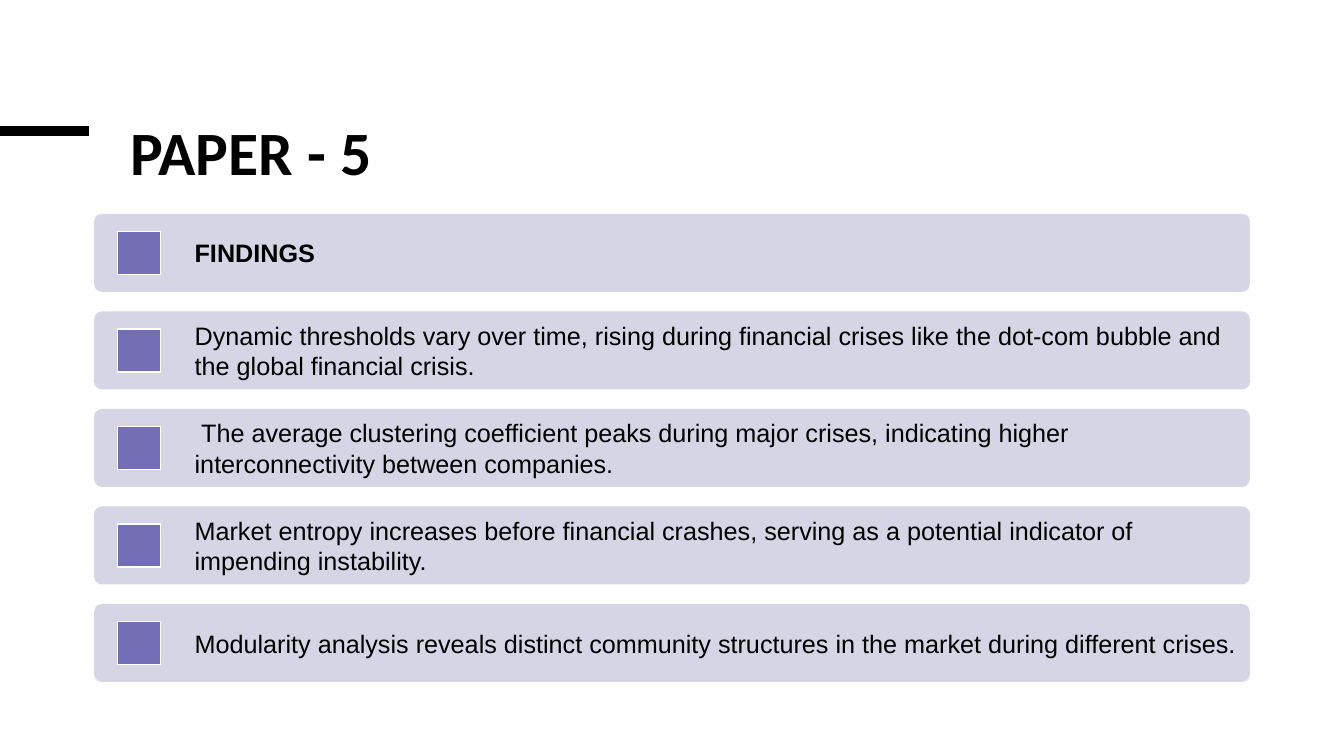
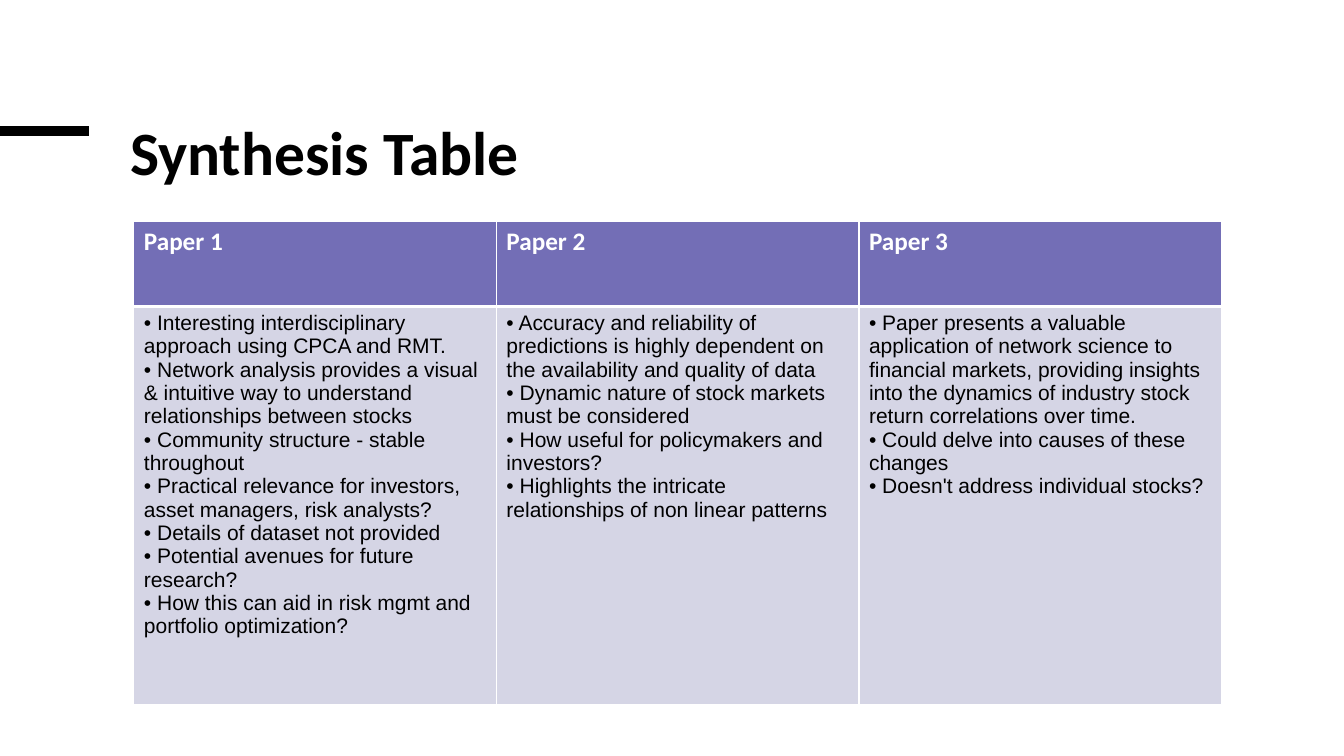
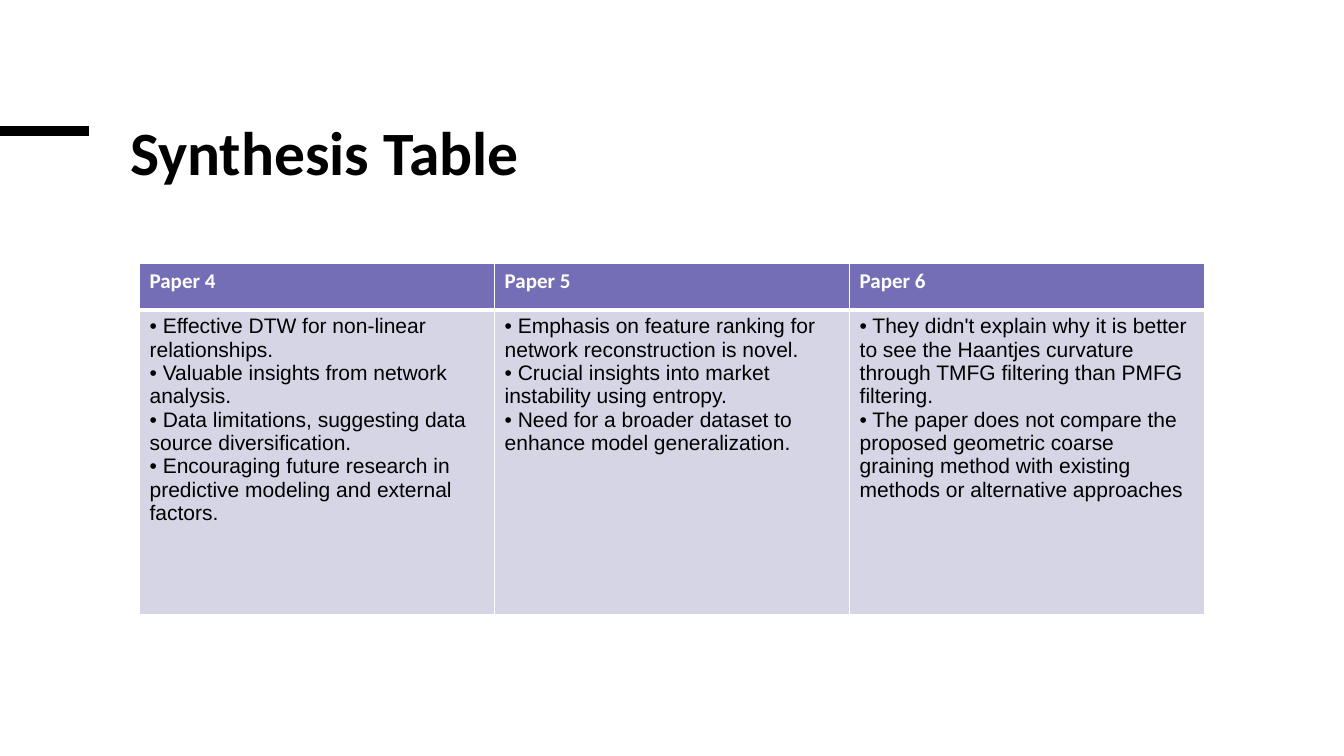
from dataclasses import dataclass

from lxml import etree
from pptx import Presentation
from pptx.dml.color import RGBColor
from pptx.enum.shapes import MSO_CONNECTOR, MSO_SHAPE
from pptx.enum.text import MSO_ANCHOR, MSO_AUTO_SIZE, PP_ALIGN
from pptx.oxml.ns import qn
from pptx.util import Pt

STRAIGHT = MSO_CONNECTOR.STRAIGHT
ROUNDED, RECTANGLE = MSO_SHAPE.ROUNDED_RECTANGLE, MSO_SHAPE.RECTANGLE
TOP, MIDDLE = MSO_ANCHOR.TOP, MSO_ANCHOR.MIDDLE
NO_FIT = MSO_AUTO_SIZE.NONE
LEFT = PP_ALIGN.LEFT
TITLE_ONLY = 5


@dataclass(frozen=True)
class Theme:
    ink: str = "000000"
    paper: str = "FFFFFF"
    accent: str = "736EB6"
    tint: str = "D5D5E5"
    heading_font: str = "Calibri"
    body_font: str = "Arial"
    title_size: float = 44
    card_size: float = 18
    cell_size: float = 15


THEME = Theme()

FINDINGS = [
    "FINDINGS",
    "Dynamic thresholds vary over time, rising during financial crises like "
    "the dot-com bubble and the global financial crisis.",
    " The average clustering coefficient peaks during major crises, indicating "
    "higher interconnectivity between companies.",
    "Market entropy increases before financial crashes, serving as a potential "
    "indicator of impending instability.",
    "Modularity analysis reveals distinct community structures in the market "
    "during different crises.",
]

FIRST_PAPERS = {
    "Paper 1": [
        "Interesting interdisciplinary approach using CPCA and RMT.",
        "Network analysis provides a visual & intuitive way to understand "
        "relationships between stocks",
        "Community structure - stable throughout",
        "Practical relevance for investors, asset managers, risk analysts?",
        "Details of dataset not provided",
        "Potential avenues for future research?",
        "How this can aid in risk mgmt and portfolio optimization?",
    ],
    "Paper 2": [
        "Accuracy and reliability of predictions is highly dependent on the "
        "availability and quality of data",
        "Dynamic nature of stock markets must be considered",
        "How useful for policymakers and investors?",
        "Highlights the intricate relationships of non linear patterns",
    ],
    "Paper 3": [
        "Paper presents a valuable application of network science to financial "
        "markets, providing insights into the dynamics of industry stock return "
        "correlations over time.",
        "Could delve into causes of these changes",
        "Doesn't address individual stocks?",
    ],
}

LAST_PAPERS = {
    "Paper 4": [
        "Effective DTW for non-linear relationships.",
        "Valuable insights from network analysis.",
        "Data limitations, suggesting data source diversification.",
        "Encouraging future research in predictive modeling and external factors.",
    ],
    "Paper 5": [
        "Emphasis on feature ranking for network reconstruction is novel.",
        "Crucial insights into market instability using entropy.",
        "Need for a broader dataset to enhance model generalization.",
    ],
    "Paper 6": [
        "They didn't explain why it is better to see the Haantjes curvature "
        "through TMFG filtering than PMFG filtering.",
        "The paper does not compare the proposed geometric coarse graining "
        "method with existing methods or alternative approaches",
    ],
}


def rgb(color):
    return RGBColor.from_string(color)


def format_text(frame, font, size, color, bold=False):
    for para in frame.paragraphs:
        para.alignment = LEFT
        for span in para.runs:
            span.font.name = font
            span.font.size = Pt(size)
            span.font.bold = bold
            span.font.color.rgb = rgb(color)


def place_title(layout):
    """Set the title's place once, for every slide of the layout."""
    title = layout.placeholders[0]
    title.left, title.top = Pt(85.7), Pt(85.7)
    title.width, title.height = Pt(781), Pt(102)


def add_page(deck, title):
    """Add a slide with the shared title style and the black edge rule."""
    page = deck.slides.add_slide(deck.slide_layouts[TITLE_ONLY])
    rule = page.shapes.add_connector(STRAIGHT, Pt(0), Pt(93.6), Pt(63.5), Pt(93.6))
    rule.line.color.rgb = rgb(THEME.ink)
    rule.line.width = Pt(6.75)
    etree.SubElement(rule.element.spPr, qn("a:effectLst"))

    frame = page.shapes.title.text_frame
    frame.text = title
    frame.auto_size = NO_FIT
    frame.vertical_anchor = TOP
    frame.paragraphs[0].line_spacing = 0.85
    format_text(frame, THEME.heading_font, THEME.title_size, THEME.ink, bold=True)
    return page


def add_box(page, kind, left, top, width, height, fill):
    box = page.shapes.add_shape(kind, Pt(left), Pt(top), Pt(width), Pt(height))
    box.shadow.inherit = False
    box.fill.solid()
    box.fill.fore_color.rgb = rgb(fill)
    box.line.fill.background()
    return box


def add_card(page, top, text, bold):
    """Add a rounded band with a square marker and its text."""
    height, marker_size = 55.7, 30.7
    card = add_box(page, ROUNDED, 67.2, top, 825.6, height, THEME.tint)
    card.adjustments[0] = 0.1
    frame = card.text_frame
    frame.text = text
    frame.word_wrap = True
    frame.vertical_anchor = MIDDLE
    frame.margin_left, frame.margin_right = Pt(70.2), Pt(5.9)
    format_text(frame, THEME.body_font, THEME.card_size, THEME.ink, bold)

    marker = add_box(page, RECTANGLE, 84, top + (height - marker_size) / 2,
                     marker_size, marker_size, THEME.accent)
    marker.line.color.rgb = rgb(THEME.paper)
    marker.line.width = Pt(1)


def add_cards(page, texts):
    first_top, pitch = 152.8, 69.65
    for index, text in enumerate(texts):
        add_card(page, first_top + index * pitch, text, bold=index == 0)


def set_borders(cell, top, bottom):
    """Draw the cell's borders, with sides of one point."""
    properties = cell._tc.get_or_add_tcPr()
    widths = {"a:lnL": 1, "a:lnR": 1, "a:lnT": top, "a:lnB": bottom}
    for position, (tag, width) in enumerate(widths.items()):
        border = etree.Element(qn(tag), w=str(Pt(width)))
        fill = etree.SubElement(border, qn("a:solidFill"))
        etree.SubElement(fill, qn("a:srgbClr"), val=THEME.paper)
        properties.insert(position, border)


def fill_cell(cell, text, fill, font, size, color, bold=False):
    cell.text_frame.text = text
    format_text(cell.text_frame, font, size, color, bold)
    cell.fill.solid()
    cell.fill.fore_color.rgb = rgb(fill)


def add_paper_table(page, papers, left, top, column_width, row_heights, header_size):
    """Add a table with one column of remarks for each paper."""
    frame = page.shapes.add_table(
        2, len(papers), Pt(left), Pt(top),
        Pt(column_width * len(papers)), Pt(sum(row_heights)))
    table = frame.table
    for row, height in zip(table.rows, row_heights):
        row.height = Pt(height)
    for index, (paper, remarks) in enumerate(papers.items()):
        table.columns[index].width = Pt(column_width)
        header, body = table.cell(0, index), table.cell(1, index)
        fill_cell(header, paper, THEME.accent, THEME.heading_font,
                  header_size, THEME.paper, bold=True)
        fill_cell(body, "\n".join(f"• {remark}" for remark in remarks),
                  THEME.tint, THEME.body_font, THEME.cell_size, THEME.ink)
        set_borders(header, top=1, bottom=3)
        set_borders(body, top=3, bottom=1)


def main():
    deck = Presentation()
    deck.slide_width, deck.slide_height = Pt(960), Pt(540)
    place_title(deck.slide_layouts[TITLE_ONLY])

    add_cards(add_page(deck, "PAPER - 5"), FINDINGS)
    add_paper_table(add_page(deck, "Synthesis Table"), FIRST_PAPERS,
                    left=95.6, top=158.4, column_width=259,
                    row_heights=(60.5, 284.4), header_size=18)
    add_paper_table(add_page(deck, "Synthesis Table"), LAST_PAPERS,
                    left=99.7, top=187.9, column_width=253.6,
                    row_heights=(33.5, 217.8), header_size=15)
    deck.save("out.pptx")


if __name__ == "__main__":
    main()
